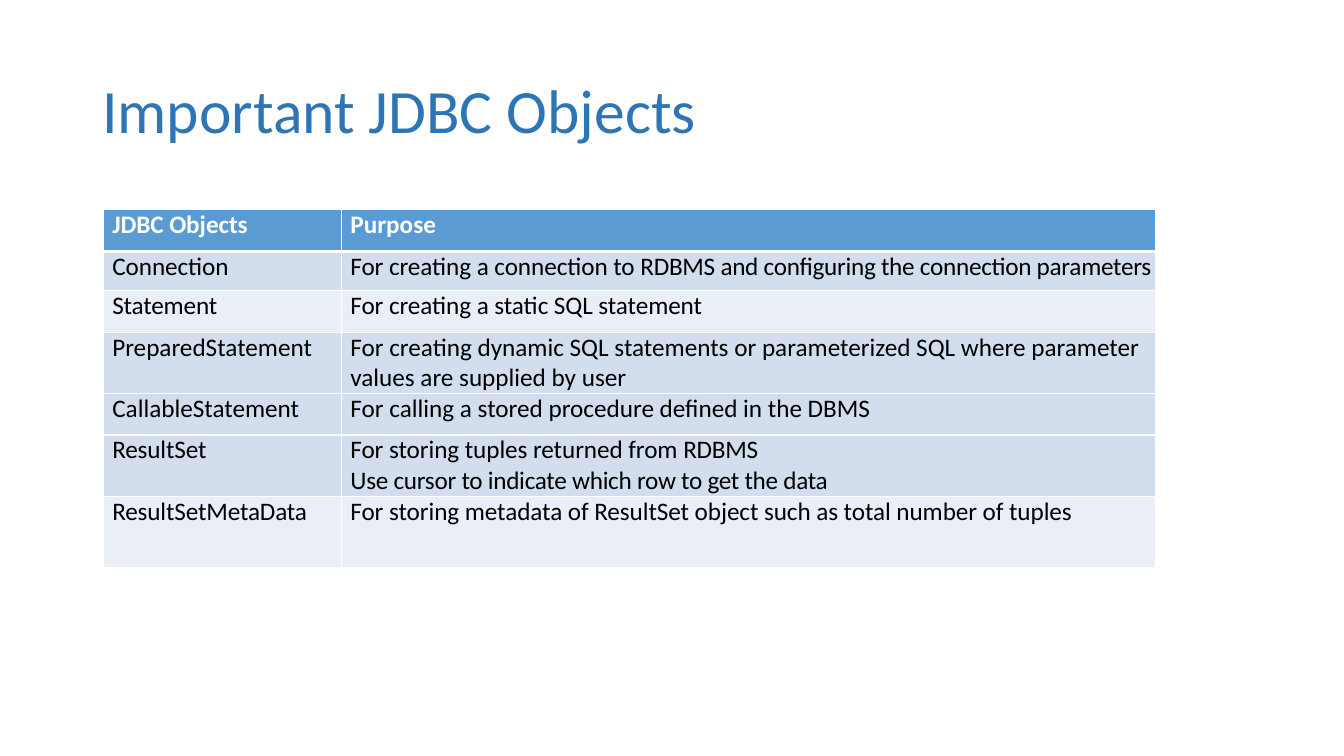
from lxml import etree
from pptx import Presentation
from pptx.dml.color import RGBColor
from pptx.enum.text import MSO_ANCHOR
from pptx.oxml.ns import qn
from pptx.util import Cm, Pt

MIDDLE = MSO_ANCHOR.MIDDLE
FONT_NAME = "Calibri"
WHITE, BLACK, TITLE_BLUE = "FFFFFF", "000000", "2E75B6"
HEADER_FILL, DARK_BAND, LIGHT_BAND = "5B9BD4", "D2DEEE", "EAEEF7"
COLUMN_WIDTHS = (6, 20.53)

# Each cell is a list of lines, each line a list of (text, letter spacing in points).
ROWS = [
    (1.07, HEADER_FILL, [[("JDBC Objects", -0.07)]], [[("Purpose", 0)]]),
    (0.99, DARK_BAND, [[("Connection", -0.05)]],
     [[("For creating a connection to ", -0.05),
       ("RDBMS and configuring the connection parameters", -0.2)]]),
    (1.04, LIGHT_BAND, [[("Statement", -0.1)]],
     [[("For creating a static SQL statement", -0.07)]]),
    (1.04, DARK_BAND, [[("PreparedStatement", 0)]],
     [[("For creating dynamic SQL statements or parameterized SQL where "
        "parameter values are supplied by user", 0)]]),
    (1.04, DARK_BAND, [[("CallableStatement", 0)]],
     [[("For calling a stored procedure defined in the DBMS", 0)]]),
    (1.04, DARK_BAND, [[("ResultSet", -0.1)]],
     [[("For storing tuples returned from ", -0.07), ("RDBMS", -0.2)],
      [("Use cursor to indicate which row to get the data", -0.2)]]),
    (1.78, LIGHT_BAND, [[("ResultSetMetaData", -0.1)]],
     [[("For storing metadata of ResultSet object such as total number of tuples",
        -0.05)]]),
]


def color(hex_value):
    """Return the colour for a hex string."""
    return RGBColor.from_string(hex_value)


def style_paragraph(paragraph, size, hex_value, bold=False):
    """Set the font of a whole paragraph."""
    font = paragraph.font
    font.name, font.size, font.bold = FONT_NAME, Pt(size), bold
    font.color.rgb = color(hex_value)


def set_borders(cell, top_width, bottom_width):
    """Draw white borders around a cell."""
    properties = cell._tc.get_or_add_tcPr()
    for side, width in (("L", 1), ("R", 1), ("T", top_width), ("B", bottom_width)):
        line = etree.SubElement(properties, qn(f"a:ln{side}"), w=str(Pt(width)))
        fill = etree.SubElement(line, qn("a:solidFill"))
        etree.SubElement(fill, qn("a:srgbClr"), val=WHITE)


def fill_cell(cell, lines, fill_color, is_header):
    """Write the lines of one cell and colour it."""
    cell.margin_left = Cm(0.23)
    cell.margin_right = cell.margin_top = cell.margin_bottom = 0
    cell.fill.solid()
    cell.fill.fore_color.rgb = color(fill_color)
    for index, line in enumerate(lines):
        frame = cell.text_frame
        paragraph = frame.add_paragraph() if index else frame.paragraphs[0]
        style_paragraph(paragraph, 18, WHITE if is_header else BLACK, is_header)
        for text, spacing in line:
            run = paragraph.add_run()
            run.text = text
            run.font._element.set("spc", str(round(spacing * 100)))


def add_title(slide, left, top, width, height):
    """Place the slide title in the given box."""
    frame = slide.shapes.add_textbox(left, top, width, height).text_frame
    frame.word_wrap = True
    frame.vertical_anchor = MIDDLE
    paragraph = frame.paragraphs[0]
    paragraph.text = "Important JDBC Objects"
    paragraph.line_spacing = 0.9
    style_paragraph(paragraph, 44, TITLE_BLUE)


def add_objects_table(slide, left, top, width, height):
    """Place the table of JDBC objects in the given box."""
    table = slide.shapes.add_table(
        len(ROWS), len(COLUMN_WIDTHS), left, top, width, height).table
    for column, column_width in zip(table.columns, COLUMN_WIDTHS):
        column.width = Cm(column_width)
    for row_index, (row_height, fill_color, *cells) in enumerate(ROWS):
        table.rows[row_index].height = Cm(row_height)
        for column_index, lines in enumerate(cells):
            cell = table.cell(row_index, column_index)
            set_borders(cell, 3 if row_index == 1 else 1, 3 if row_index == 0 else 1)
            fill_cell(cell, lines, fill_color, row_index == 0)


def main():
    """Build and save the presentation."""
    presentation = Presentation()
    presentation.slide_width, presentation.slide_height = Cm(33.87), Cm(19.05)
    slide = presentation.slides.add_slide(presentation.slide_layouts[6])
    add_objects_table(slide, Cm(2.6), Cm(5.27), Cm(sum(COLUMN_WIDTHS)),
                      Cm(sum(row[0] for row in ROWS)))
    add_title(slide, Cm(2.33), Cm(1.01), Cm(29.21), Cm(3.68))
    presentation.save("out.pptx")


if __name__ == "__main__":
    main()
